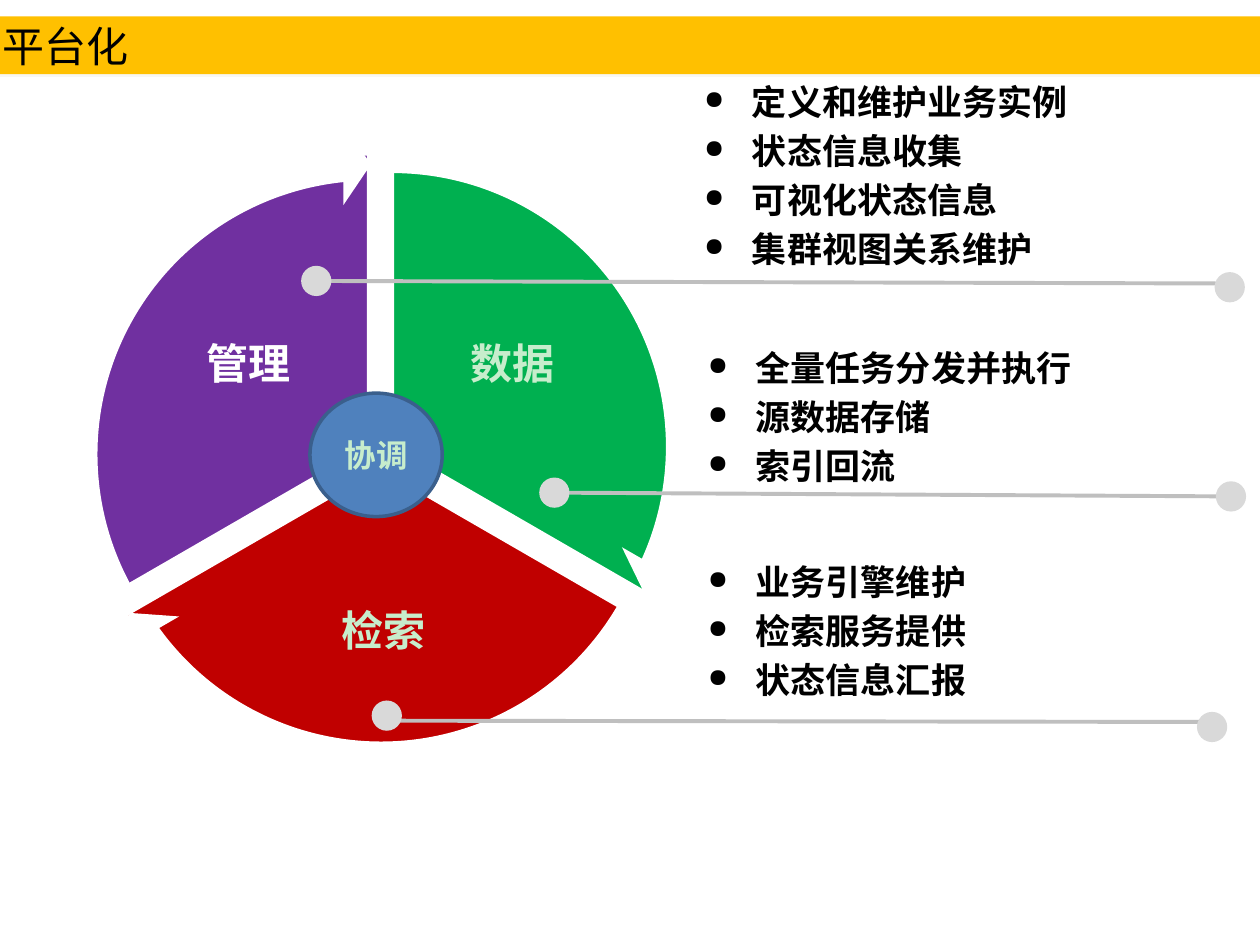
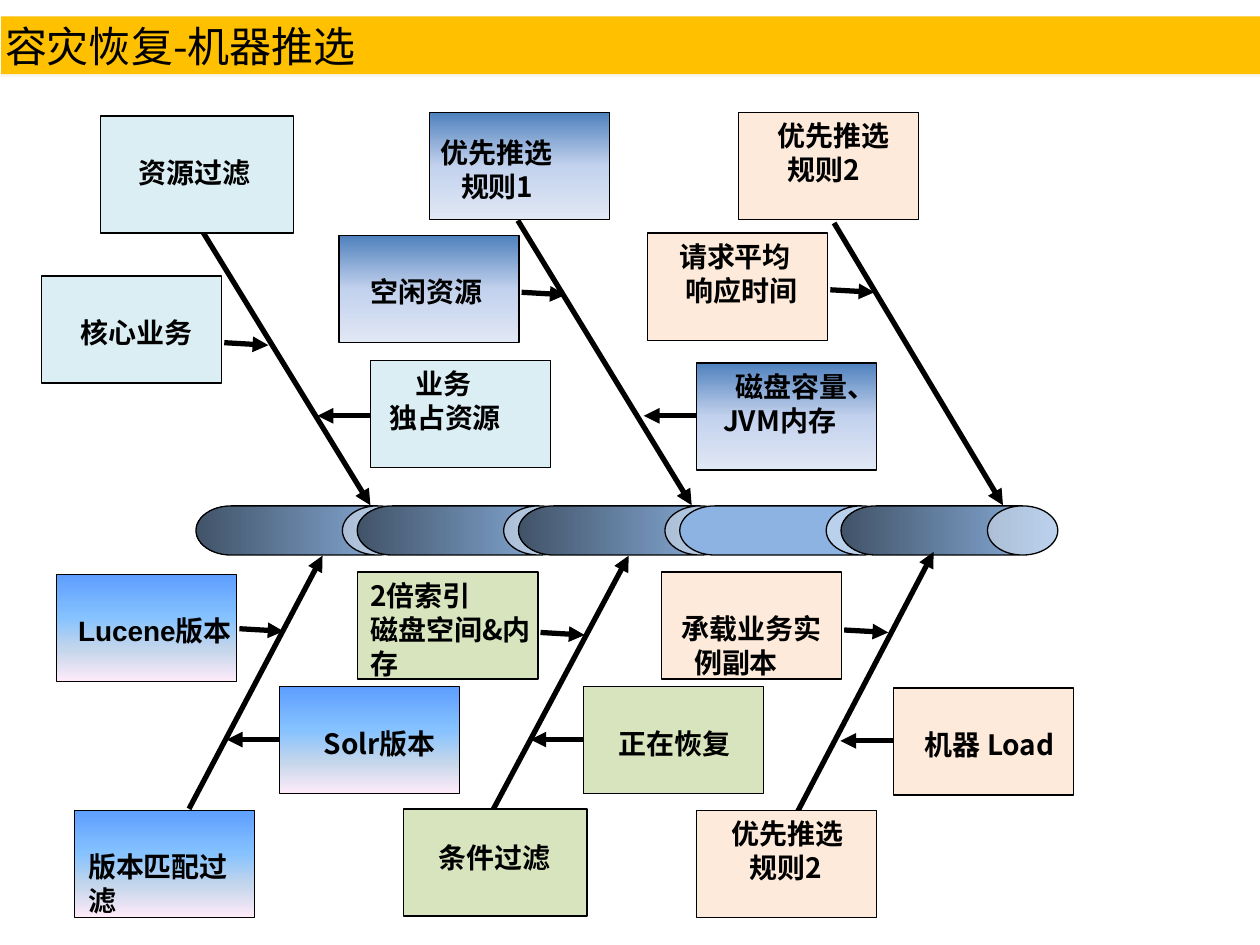
from collections import namedtuple
from lxml import etree
from pptx import Presentation
from pptx import util as u
from pptx.dml.color import RGBColor
from pptx.enum import shapes, text
from pptx.oxml.ns import qn

hue = {
    "white": "FFFFFF", "black": "000000", "gold": "FFC000", "mint": "C7EDCC",
    "green": "00B050", "red": "C00000", "plum": "7030A0",
    "hub": "4F81BD", "rim": "3A5F8C", "rule": "BFBFBF", "dot": "D9D9D9",
    "ice": "DBEEF4", "leaf": "D7E4BD", "peach": "FDEADA", "pipe": "8DB3E2",
    "shade": "EEECE1",
}
fades = {
    "steel": [(0, "8DB3E2"), (100, "415368")],
    "blue": [(0, "4F81BD"), (50, "C2D1ED"), (100, "E1E8F5")],
    "sky": [(0, "5E9EFF"), (40, "85C2FF"), (70, "C4D6EB"), (100, "FFEBFA")],
}
sans = "Noto Sans CJK SC"
form = shapes.MSO_SHAPE


def put(page, kind, box, fill, line=None, thick=0.75):
    shape = page.shapes.add_shape(kind, *map(u.Inches, box))
    shape.shadow.inherit = False
    if fill in fades:
        grad = etree.Element(qn("a:gradFill"), rotWithShape="1")
        stops = etree.SubElement(grad, qn("a:gsLst"))
        for pos, tint in fades[fill]:
            stop = etree.SubElement(stops, qn("a:gs"), pos=str(pos * 1000))
            etree.SubElement(stop, qn("a:srgbClr"), val=tint)
        etree.SubElement(grad, qn("a:lin"), ang="5400000", scaled="0")
        shape._element.spPr.find(qn("a:prstGeom")).addnext(grad)
    else:
        shape.fill.solid()
        shape.fill.fore_color.rgb = RGBColor.from_string(hue[fill])
    if line:
        shape.line.color.rgb = RGBColor.from_string(hue[line])
        shape.line.width = u.Pt(thick)
    else:
        shape.line.fill.background()
    return shape


def say(shape, rows, size, tint="black", bold=True, font=sans, pads=(0, 0, 0, 0),
        mid=False, center=False, lead=None, bullet=False, dents=None):
    frame = shape.text_frame
    frame.word_wrap = True
    (frame.margin_left, frame.margin_top,
     frame.margin_right, frame.margin_bottom) = map(u.Inches, pads)
    frame.vertical_anchor = text.MSO_ANCHOR.MIDDLE if mid else text.MSO_ANCHOR.TOP
    for i, row in enumerate(rows):
        para = frame.paragraphs[0] if i == 0 else frame.add_paragraph()
        para.text = row
        para.alignment = text.PP_ALIGN.CENTER if center else text.PP_ALIGN.LEFT
        if lead:
            para.line_spacing = lead
        props = para._p.get_or_add_pPr()
        if bullet:
            para.space_before = u.Pt(4 if i else 0)
            props.set("marL", str(u.Inches(0.38)))
            props.set("indent", str(-u.Inches(0.38)))
            etree.SubElement(props, qn("a:buSzPct"), val="73000")
            etree.SubElement(props, qn("a:buChar"), char="●")
        if dents:
            props.set("marL", str(u.Inches(dents[i])))
        para.font.size = u.Pt(size)
        para.font.bold = bold
        para.font.color.rgb = RGBColor.from_string(hue[tint])
        para.font.name = font
        east = etree.Element(qn("a:ea"), typeface=sans)
        props.find(qn("a:defRPr")).find(qn("a:latin")).addnext(east)


deck = Presentation()
deck.slide_width, deck.slide_height = u.Inches(10), u.Inches(7.5)
thin = (0.03,) * 4

pages = []
for title, left in [("平台化", -0.01), ("容灾恢复-机器推选", 0.01)]:
    page = deck.slides.add_slide(deck.slide_layouts[6])
    page.background.fill.solid()
    page.background.fill.fore_color.rgb = RGBColor.from_string(hue["white"])
    band = put(page, form.RECTANGLE, (left, 0.13, 10.01, 0.46), "gold")
    glow = etree.SubElement(band._element.spPr.find(qn("a:effectLst")), qn("a:outerShdw"),
                            blurRad="0", dist=str(u.Pt(1.6)), dir="5400000", rotWithShape="0")
    tone = etree.SubElement(glow, qn("a:srgbClr"), val=hue["shade"])
    etree.SubElement(tone, qn("a:alpha"), val="38000")
    say(band, [title], 24, bold=False, pads=thin, mid=True)
    pages.append(page)
wheel, fish = pages

Part = namedtuple("Part", "name fill tint pie ring start label dots rule note duties")
parts = [
    Part("数据", "green", "mint", pie=(0.79, 1.22), ring=(0.5, 0.93), start=270,
         label=(3.24, 2.21, 1.66, 1.38), dots=[(4.28, 3.79), (9.65, 3.82)], rule=(3.91, 3.94),
         note=(5.52, 2.7), duties=["全量任务分发并执行", "源数据存储", "索引回流"]),
    Part("检索", "red", "mint", pie=(0.69, 1.39), ring=(0.41, 1.1), start=30,
         label=(1.8, 4.41, 2.49, 1.22), dots=[(2.95, 5.56), (9.5, 5.65)], rule=(5.72, 5.73),
         note=(5.52, 4.4), duties=["业务引擎维护", "检索服务提供", "状态信息汇报"]),
    Part("管理", "plum", "white", pie=(0.6, 1.22), ring=(0.33, 0.99), start=150,
         label=(1.14, 2.21, 1.66, 1.38), dots=[(2.39, 2.11), (9.64, 2.16)], rule=(2.23, 2.25),
         note=(5.49, 0.59),
         duties=["定义和维护业务实例", "状态信息收集", "可视化状态信息", "集群视图关系维护"]),
]
unit = 0.6
sweep = 120
dot = 0.24

for part in parts:
    stop = (part.start + sweep) % 360
    pie = put(wheel, form.PIE, (*part.pie, 4.65, 4.65), part.fill, "white", 2)
    pie.adjustments[0], pie.adjustments[1] = part.start * unit, stop * unit
    label = wheel.shapes.add_textbox(*map(u.Inches, part.label))
    say(label, [part.name], 24, part.tint, font="Calibri", pads=thin, mid=True,
        center=True, lead=0.9)

for part in parts:
    stop = (part.start + sweep) % 360
    ring = put(wheel, form.CIRCULAR_ARROW, (*part.ring, 5.23, 5.23), "white")
    turns = (0.05, 3.28, (stop - 5.46) * unit, part.start * unit, 0.06)
    for i, turn in enumerate(turns):
        ring.adjustments[i] = turn

for i in range(5):
    can = put(fish, form.CAN, (2.22 + 1.28 * i, 3.35, 0.39, 1.72),
              "pipe" if i == 3 else "steel", "black")
    can.rotation = 90
    can.adjustments[0] = 1.43

Card = namedtuple("Card", "x y skip rows dents w h nib", defaults=(1.43, 0.85, None))
Rib = namedtuple("Rib", "fill root tip head near far", defaults=(None,))
ribs = [
    Rib("ice", (1.56, 1.76), (2.94, 4.01),
        head=Card(0.8, 0.92, 1, ["资源过滤"], [0.3], w=1.53, h=0.93),
        near=Card(0.33, 2.19, 1, ["核心业务"], [0.31], nib=2.72),
        far=Card(2.94, 2.86, 0, ["业务", "独占资源"], [0.36, 0.15], nib=3.3)),
    Rib("blue", (4.11, 1.75), (5.49, 4.01),
        head=Card(3.41, 0.89, 0.5, ["优先推选", "规则1"], [0.09, 0.25]),
        near=Card(2.69, 1.87, 1, ["空闲资源"], [0.25], nib=2.32),
        far=Card(5.53, 2.88, 0, ["磁盘容量、", "JVM内存"], [0.31, 0.21], nib=3.3)),
    Rib("peach", (6.62, 1.77), (7.96, 4.01),
        head=Card(5.86, 0.89, 0, ["优先推选", "规则2"], [0.31, 0.39]),
        near=Card(5.14, 1.85, 0, ["请求平均", "响应时间"], [0.25, 0.3], nib=2.3)),
    Rib("sky", (1.5, 6.42), (2.56, 4.41),
        head=Card(0.59, 6.43, 1, ["版本匹配过滤"], [0.11]),
        near=Card(0.45, 4.56, 1, ["Lucene版本"], [0.17], nib=4.99),
        far=Card(2.22, 5.45, 1, ["Solr版本"], [0.35], nib=5.87)),
    Rib("leaf", (3.89, 6.47), (4.99, 4.41),
        head=Card(3.2, 6.42, 0.75, ["条件过滤"], [0.28], w=1.46),
        near=Card(2.84, 4.54, 0, ["2倍索引", "磁盘空间&内存"], [0.1, 0.1], nib=5.02),
        far=Card(4.63, 5.45, 1, ["正在恢复"], [0.28], nib=5.87)),
    Rib("peach", (6.31, 6.48), (7.41, 4.38),
        head=Card(5.53, 6.43, 0, ["优先推选", "规则2"], [0.28, 0.42]),
        near=Card(5.25, 4.54, 1, ["承载业务实", "例副本"], [0.16, 0.26], nib=5),
        far=Card(7.09, 5.46, 1, ["机器 Load"], [0.25], nib=5.88)),
]

rules = []
for part in parts:
    (x1, _), (x2, _) = part.dots
    y1, y2 = part.rule
    rules.append((x1 + dot / 2, y1, x2 + dot / 2, y2))

bones = []
for rib in ribs:
    bones.append((*rib.root, *rib.tip))
    edge = rib.near.x + rib.near.w
    bones.append((edge + 0.02, rib.near.nib, edge + 0.37, rib.near.nib + 0.02))
    if rib.far:
        bones.append((rib.far.x, rib.far.nib, rib.far.x - 0.42, rib.far.nib))

for page, tint, thick, lines in [(wheel, "rule", 2.25, rules), (fish, "black", 3, bones)]:
    for ends in lines:
        line = page.shapes.add_connector(shapes.MSO_CONNECTOR.STRAIGHT, *map(u.Inches, ends))
        line.line.color.rgb = RGBColor.from_string(hue[tint])
        line.line.width = u.Pt(thick)
        props = line._element.spPr
        if page is fish:
            etree.SubElement(props.find(qn("a:ln")), qn("a:tailEnd"), type="triangle")
        etree.SubElement(props, qn("a:effectLst"))

for part in parts:
    for spot in part.dots:
        put(wheel, form.FLOWCHART_CONNECTOR, (*spot, dot, dot), "dot")
    size = (4, 0.1 + 0.39 * len(part.duties))
    note = wheel.shapes.add_textbox(*map(u.Inches, part.note + size))
    say(note, part.duties, 20, pads=(0.1, 0.05, 0.1, 0.05), lead=u.Pt(24), bullet=True)

hub = put(wheel, form.FLOWCHART_CONNECTOR, (2.46, 3.12, 1.05, 0.98), "hub", "rim", 2)
say(hub, ["协调"], 18, "mint", font="Calibri", mid=True, center=True)

for rib in ribs:
    for card in filter(None, (rib.head, rib.near, rib.far)):
        tile = put(fish, form.RECTANGLE, (card.x, card.y, card.w, card.h), rib.fill, "black")
        font = "Arial" if card.rows[0].isascii() or card.rows[0].startswith("Lucene") else sans
        say(tile, card.rows, 16, font=font, pads=(0, 0.05 + 0.26 * card.skip, 0, 0),
            lead=u.Pt(19.4), dents=card.dents)

deck.save("out.pptx")
